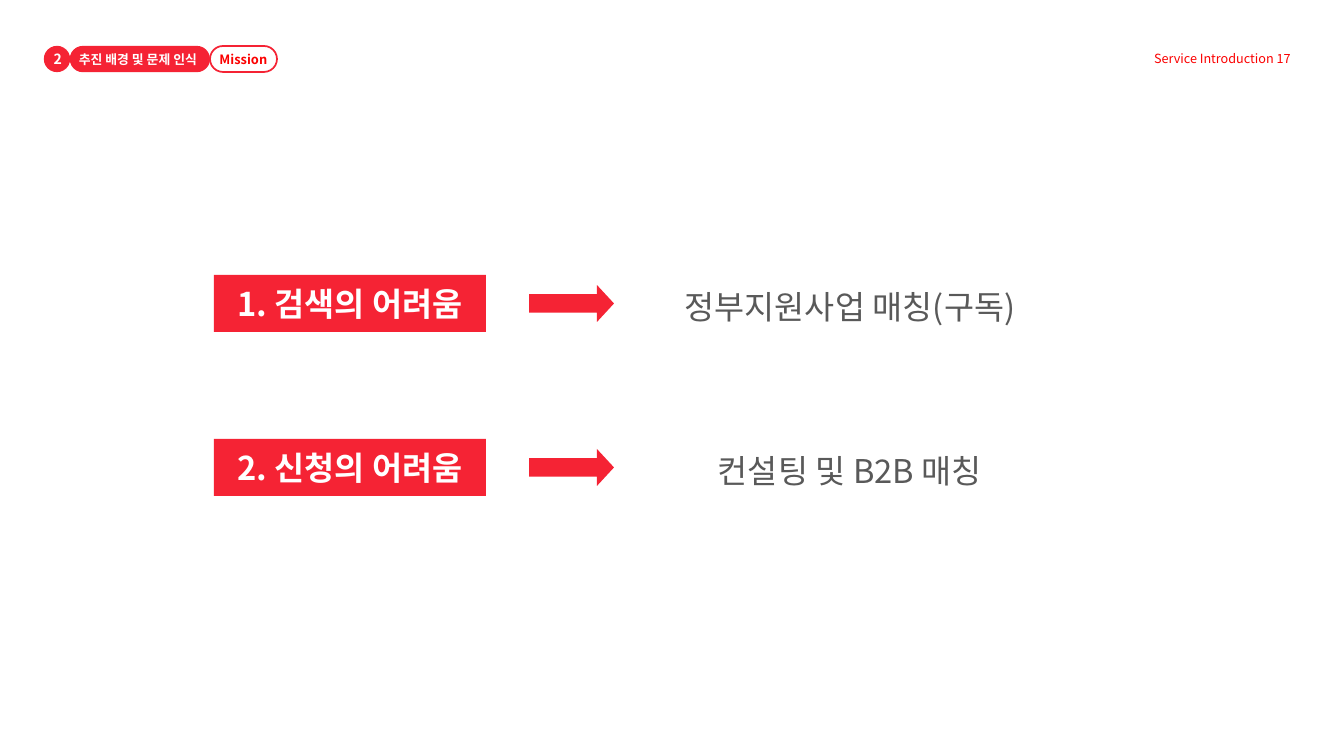
from dataclasses import dataclass

from lxml.etree import SubElement
from pptx import Presentation
from pptx.dml.color import RGBColor
from pptx.enum.shapes import MSO_SHAPE
from pptx.enum.text import MSO_ANCHOR, MSO_AUTO_SIZE, PP_ALIGN
from pptx.oxml.ns import qn
from pptx.util import Emu, Pt

PX = 914400 / 168  # EMU per px
FONT = "Noto Sans CJK KR"
RED, BRIGHT_RED, WHITE, GREY = "F52334", "FB0000", "FFFFFF", "595959"
ROW_TOP, ROW_STEP = 275, 164


@dataclass
class Box:
    x: int
    y: int
    w: int
    h: int

    def emu(self) -> list[Emu]:
        return [Emu(round(v * PX)) for v in (self.x, self.y, self.w, self.h)]


@dataclass
class Row:
    problem: str
    solution: str


ROWS = [
    Row("1. 검색의 어려움", "정부지원사업 매칭(구독)"),
    Row("2. 신청의 어려움", "컨설팅 및 B2B 매칭"),
]


def rgb(color: str) -> RGBColor:
    return RGBColor.from_string(color)


def write(sp, text: str, *, size: float, color: str, bold: bool = False,
          align=PP_ALIGN.LEFT, anchor=MSO_ANCHOR.TOP, spacing: float = 1.0) -> None:
    tf = sp.text_frame
    tf.word_wrap = True
    tf.auto_size = MSO_AUTO_SIZE.NONE
    tf.vertical_anchor = anchor
    p = tf.paragraphs[0]
    p.alignment = align
    p.line_spacing = spacing
    r = p.add_run()
    r.text = text
    r.font.size = Pt(size)
    r.font.bold = bold
    r.font.name = FONT
    r.font.color.rgb = rgb(color)
    SubElement(r.font._element, qn("a:ea"), typeface=FONT)


def add_text(slide, box: Box, text: str, **fmt) -> None:
    write(slide.shapes.add_textbox(*box.emu()), text, **fmt)


def add_shape(slide, kind, box: Box, fill: str | None = RED, line: float = 0,
              adj: tuple[float, ...] = ()):
    sp = slide.shapes.add_shape(kind, *box.emu())
    sp.shadow.inherit = False
    for i, value in enumerate(adj):
        sp.adjustments[i] = value
    if fill:
        sp.fill.solid()
        sp.fill.fore_color.rgb = rgb(fill)
    else:
        sp.fill.background()
    if line:
        sp.line.width = Pt(line)
        sp.line.color.rgb = rgb(RED)
    else:
        sp.line.fill.background()
    return sp


def add_header(slide) -> None:
    small = dict(size=5.5, bold=True)
    # Section number
    add_shape(slide, MSO_SHAPE.OVAL, Box(45, 47, 24, 24), line=1)
    add_text(slide, Box(37, 42, 40, 34), "2", size=6, color=WHITE, bold=True)
    # Section title on its pill
    add_shape(slide, MSO_SHAPE.ROUNDED_RECTANGLE, Box(71, 47, 138, 24), line=1, adj=(0.5,))
    title = slide.shapes.title
    title.left, title.top, title.width, title.height = Box(62, 43, 185, 32).emu()
    write(title, "추진 배경 및 문제 인식", color=WHITE, **small)
    slide.shapes._spTree.append(title._element)  # bring in front of the pill
    # Outlined pill
    add_shape(slide, MSO_SHAPE.ROUNDED_RECTANGLE, Box(210, 46, 67, 26), fill=None,
              line=0.75, adj=(0.5,))
    add_text(slide, Box(203, 43, 86, 32), "Mission", color=BRIGHT_RED, **small)
    # Deck name and page
    add_text(slide, Box(1095, 43, 212, 32), "Service Introduction 17", size=5.4,
             color=BRIGHT_RED, align=PP_ALIGN.RIGHT)


def add_row(slide, row: Row, top: int) -> None:
    centred = dict(size=14, align=PP_ALIGN.CENTER, anchor=MSO_ANCHOR.MIDDLE)
    add_shape(slide, MSO_SHAPE.RIGHT_ARROW, Box(529, top + 10, 85, 37), adj=(0.5, 0.46))
    sp = add_shape(slide, MSO_SHAPE.RECTANGLE, Box(214, top, 272, 57))
    write(sp, row.problem, color=WHITE, bold=True, **centred)
    add_text(slide, Box(571, top - 14, 558, 71), row.solution, color=GREY,
             spacing=1.5, **centred)


def main() -> None:
    prs = Presentation()
    prs.slide_width, prs.slide_height = Box(0, 0, 1344, 756).emu()[2:]
    slide = prs.slides.add_slide(prs.slide_layouts[5])
    add_header(slide)
    for i, row in enumerate(ROWS):
        add_row(slide, row, ROW_TOP + i * ROW_STEP)
    prs.save("out.pptx")


if __name__ == "__main__":
    main()
